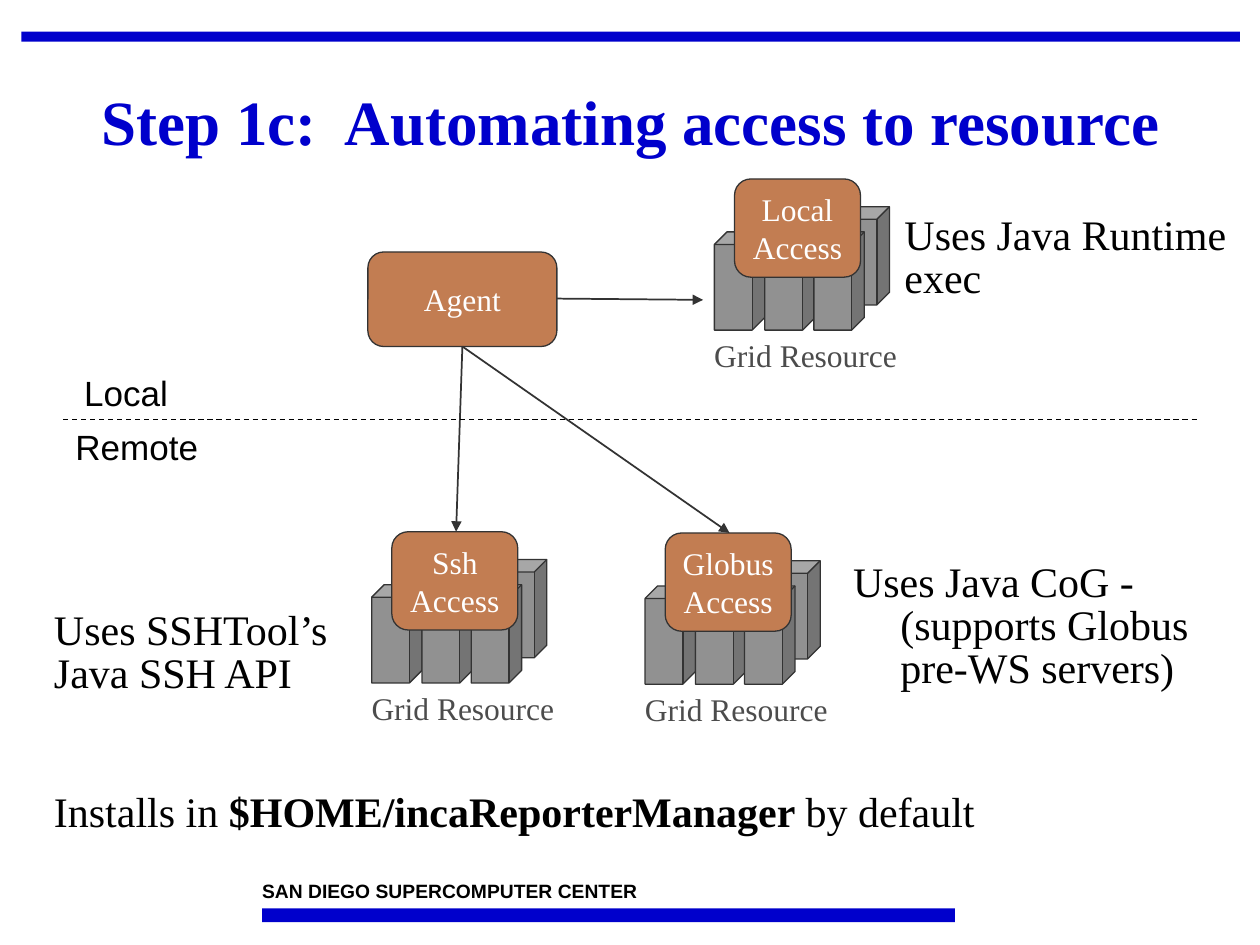
import dataclasses

import lxml.etree
import pptx
import pptx.dml.color
import pptx.enum.dml
import pptx.enum.shapes
import pptx.enum.text
import pptx.oxml.ns
import pptx.util

Inches = pptx.util.Inches
Pt = pptx.util.Pt
Align = pptx.enum.text.PP_ALIGN
Anchor = pptx.enum.text.MSO_ANCHOR
Fit = pptx.enum.text.MSO_AUTO_SIZE
Preset = pptx.enum.shapes.MSO_SHAPE


@dataclasses.dataclass(frozen=True)
class Theme:
    blue: str = "0000CC"
    black: str = "000000"
    white: str = "FFFFFF"
    label: str = "4C4C4C"
    outline: str = "333333"
    cube: str = "919191"
    box: str = "C27D52"
    serif: str = "Times New Roman"
    sans: str = "Arial"
    title_size: int = 36
    body_size: int = 24
    zone_size: int = 20
    label_size: int = 18
    footer_size: int = 11


THEME = Theme()
TITLE = {"name": THEME.serif, "size": Pt(THEME.title_size), "color": THEME.blue, "bold": True}
BODY = {"name": THEME.serif, "size": Pt(THEME.body_size), "color": THEME.black}
ZONE = {"name": THEME.sans, "size": Pt(THEME.zone_size), "color": THEME.black}
LABEL = {"name": THEME.serif, "size": Pt(THEME.label_size), "color": THEME.label}
BOX_TEXT = {**LABEL, "color": THEME.white}
FOOTER = {"name": THEME.sans, "size": Pt(THEME.footer_size), "color": THEME.black, "bold": True}


def rgb(color):
    return pptx.dml.color.RGBColor.from_string(color)


def set_values(target, values):
    for name, value in values.items():
        if name == "color":
            target.color.rgb = rgb(value)
        else:
            setattr(target, name, value)


def place(shape, box):
    for name, value in zip(("left", "top", "width", "height"), box):
        setattr(shape, name, Inches(value))


def write(shape, lines, font, paragraph_format=None, **frame_format):
    """Fill a shape with lines; a line is text or a list of (text, bold) runs."""
    frame = shape.text_frame
    set_values(frame, {"word_wrap": True, "auto_size": Fit.NONE, **frame_format})
    for index, line in enumerate(lines):
        paragraph = frame.add_paragraph() if index else frame.paragraphs[0]
        set_values(paragraph, paragraph_format or {})
        runs = [(line, font.get("bold", False))] if isinstance(line, str) else line
        for text, bold in runs:
            run = paragraph.add_run()
            run.text = text
            set_values(run.font, {**font, "bold": bold})


def add_text(slide, box, lines, font, paragraph_format=None, **frame_format):
    shape = slide.shapes.add_textbox(*map(Inches, box))
    write(shape, lines, font, paragraph_format, **frame_format)


def add_filled(slide, preset, box, fill, outline=None):
    shape = slide.shapes.add_shape(preset, *map(Inches, box))
    shape.shadow.inherit = False
    shape.fill.solid()
    shape.fill.fore_color.rgb = rgb(fill)
    if outline:
        set_values(shape.line, {"color": outline, "width": Pt(0.75)})
    else:
        shape.line.fill.background()
    return shape


def add_line(slide, start, end, line_format, arrow=False):
    connector = slide.shapes.add_connector(
        pptx.enum.shapes.MSO_CONNECTOR.STRAIGHT, *map(Inches, start + end))
    set_values(connector.line, line_format)
    qualified = pptx.oxml.ns.qn
    if arrow:
        lxml.etree.SubElement(connector.line._get_or_add_ln(), qualified("a:tailEnd"), type="triangle")
    lxml.etree.SubElement(connector._element.spPr, qualified("a:effectLst"))


def add_process(slide, box, lines):
    shape = add_filled(slide, Preset.ROUNDED_RECTANGLE, box, THEME.box, THEME.outline)
    write(shape, lines, BOX_TEXT, {"alignment": Align.CENTER},
          word_wrap=False, vertical_anchor=Anchor.MIDDLE)


def add_resource(slide, left, top, protocol):
    """Draw a cluster of cubes with its access box and caption."""
    for x, y in ((0, 0.42), (0.4, 0.42), (0.99, 0.22), (0.79, 0.42)):
        add_filled(slide, Preset.CUBE, (left + x, top + y, 0.4, 0.78), THEME.cube, THEME.outline)
    add_process(slide, (left + 0.16, top, 1, 0.78), (protocol, "Access"))
    add_text(slide, (left - 0.1, top + 1.2, 1.65, 0.4), ["Grid Resource"], LABEL, word_wrap=False)


def add_frame(slide):
    for box in ((0.17, 0.25, 9.67, 0.08), (2.08, 7.21, 5.5, 0.11)):
        add_filled(slide, Preset.RECTANGLE, box, THEME.blue)
    margins = dict.fromkeys(("margin_left", "margin_top", "margin_right", "margin_bottom"), 0)
    add_text(slide, (2.08, 6.98, 3.75, 0.18), ["SAN DIEGO SUPERCOMPUTER CENTER"], FOOTER, **margins)


def add_title(slide, box):
    title = slide.shapes.title
    place(title, box)
    write(title, ["Step 1c:  Automating access to resource"], TITLE,
          {"alignment": Align.CENTER, "line_spacing": 0.9}, vertical_anchor=Anchor.MIDDLE)


def add_notes_on_access(slide):
    spacing = {"line_spacing": 0.85, "space_before": Pt(0)}
    body = slide.placeholders[1]
    place(body, (6.67, 4.42, 3.33, 1.67))
    properties = body.text_frame.paragraphs[0]._p.get_or_add_pPr()
    set_values(properties, {"marL": 0, "indent": 0})
    lxml.etree.SubElement(properties, pptx.oxml.ns.qn("a:buNone"))
    write(body, ["Uses Java CoG - (supports Globus pre-WS servers)"], BODY, spacing)

    installation = [("Installs in ", False), ("$HOME/incaReporterManager ", True), ("by default", False)]
    for box, line in (
        ((7.08, 1.67, 2.92, 1.21), "Uses Java Runtime exec"),
        ((0.33, 4.8, 2.42, 0.78), "Uses SSHTool’s Java SSH API"),
        ((0.33, 6.25, 8.33, 0.87), installation),
    ):
        add_text(slide, box, [line], BODY, spacing)


def add_diagram(slide):
    add_process(slide, (2.92, 2, 1.5, 0.75), ["Agent"])
    for left, top, protocol in ((5.12, 4.23, "Globus"), (2.95, 4.22, "Ssh"), (5.67, 1.42, "Local")):
        add_resource(slide, left, top, protocol)
    for start, end in (
        ((3.67, 2.75), (5.79, 4.23)),
        ((3.67, 2.75), (3.62, 4.22)),
        ((4.42, 2.37), (5.58, 2.38)),
    ):
        add_line(slide, start, end, {"color": THEME.outline, "width": Pt(1)}, arrow=True)


def add_zones(slide, left, middle, width):
    dashed = {"color": THEME.black, "width": Pt(0.75),
              "dash_style": pptx.enum.dml.MSO_LINE.DASH}
    add_line(slide, (left, middle), (left + width, middle), dashed)
    add_text(slide, (left + 0.07, middle - 0.43, 0.86, 0.44), ["Local"], ZONE, word_wrap=False)
    add_text(slide, (left, middle, 1.17, 0.44), ["Remote"], ZONE, word_wrap=False)


def main():
    presentation = pptx.Presentation()
    set_values(presentation, {"slide_width": Inches(10), "slide_height": Inches(7.5)})
    slide = presentation.slides.add_slide(presentation.slide_layouts[1])
    add_frame(slide)
    add_title(slide, (0.42, 0.42, 9.17, 1.14))
    add_diagram(slide)
    add_notes_on_access(slide)
    add_zones(slide, 0.5, 3.33, 9)
    presentation.save("out.pptx")


if __name__ == "__main__":
    main()
